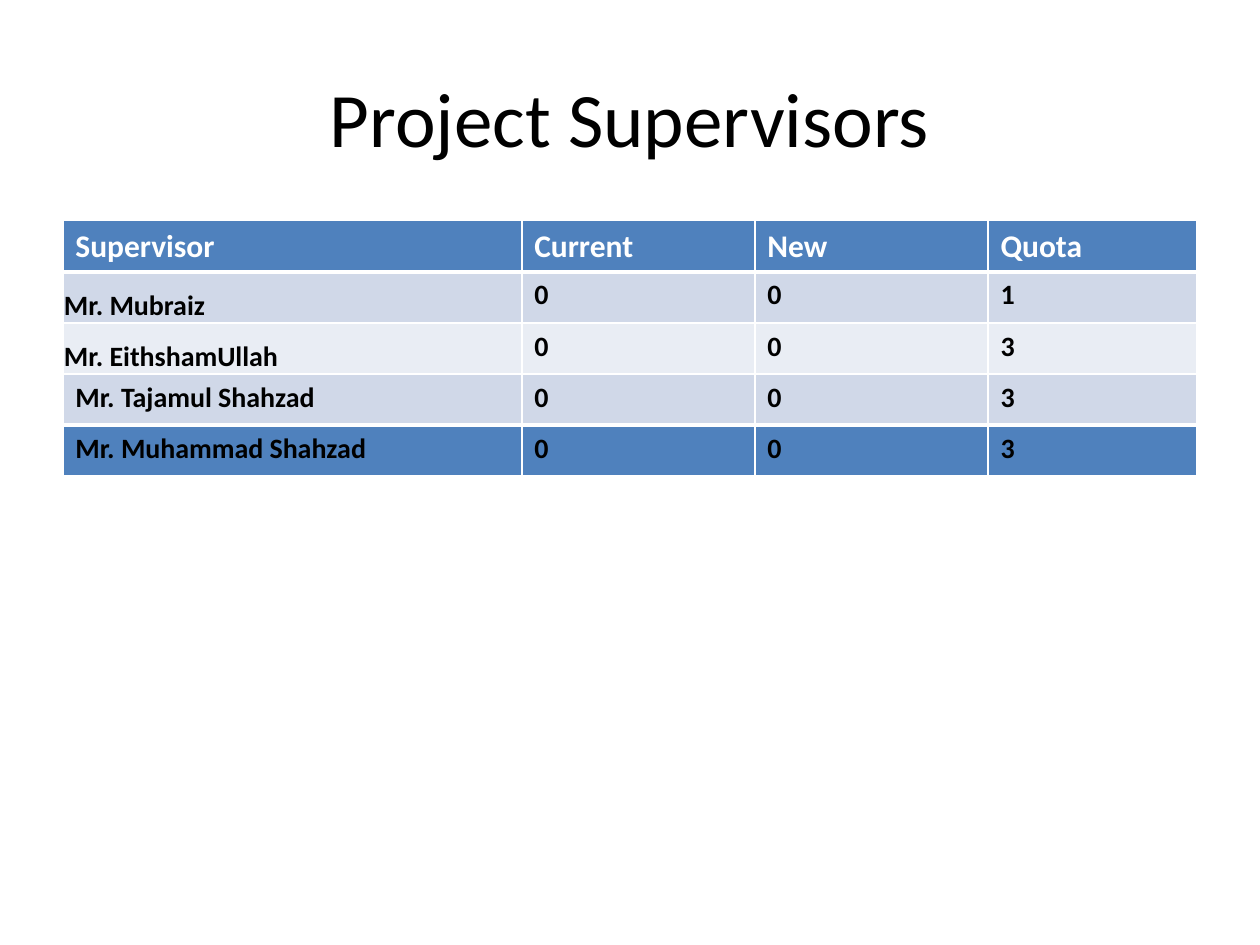
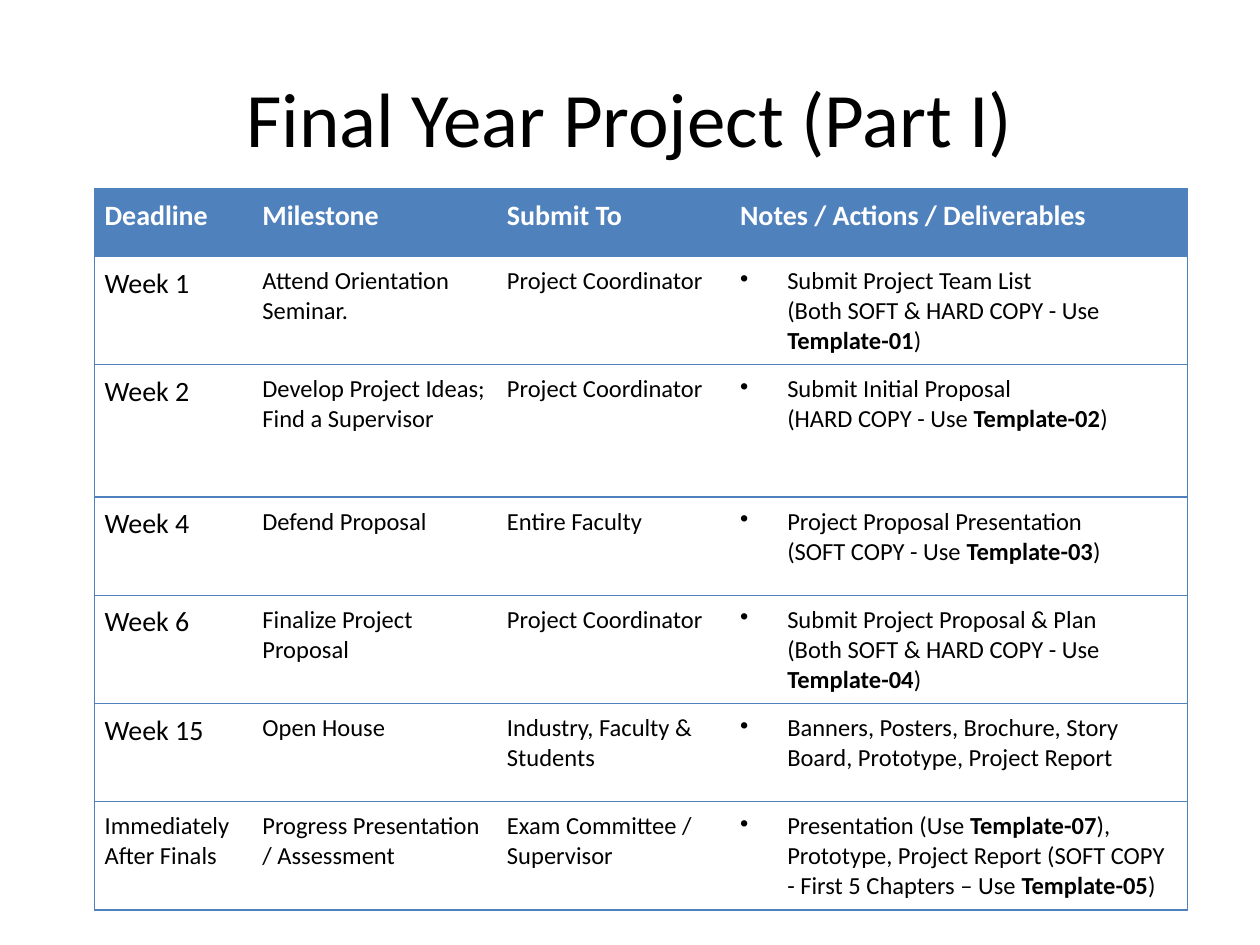
from lxml import etree
from pptx import Presentation, util as u
from pptx.dml import color
from pptx.enum import text
from pptx.oxml import ns

HUES = {"ink": "000000", "white": "FFFFFF", "blue": "4F81BD",
        "band": "D0D8E8", "pale": "E9EDF4"}


class Deck:
    """Hold the shared style and the current slide."""

    font = "Calibri"

    def __init__(self):
        self.prs = Presentation()
        self.prs.slide_width, self.prs.slide_height = u.Cm(25.4), u.Cm(19.05)

    def page(self, title):
        self.slide = self.prs.slides.add_slide(self.prs.slide_layouts[6])
        box = self.slide.shapes.add_textbox(u.Cm(1.27), u.Cm(0.76), u.Cm(22.86), u.Cm(3.18))
        frame = box.text_frame
        frame.word_wrap = True
        frame.vertical_anchor = text.MSO_ANCHOR.MIDDLE
        self.words(frame, title, 44)
        frame.paragraphs[0].alignment = text.PP_ALIGN.CENTER

    def words(self, frame, copy, size, hue="ink", bold=False, bullet=False):
        """Split paragraphs at newlines, line breaks at bars, bold spans at stars."""
        for i, part in enumerate(copy.split("\n")):
            para = frame.add_paragraph() if i else frame.paragraphs[0]
            if bullet:
                props = para._p.get_or_add_pPr()
                props.set("marL", str(u.Cm(0.95)))
                props.set("indent", str(-u.Cm(0.95)))
                etree.SubElement(props, ns.qn("a:buChar"), char="•")
            for j, line in enumerate(part.split("|")):
                if j:
                    para.add_line_break()
                for k, span in enumerate(line.split("*")):
                    if span:
                        self.run(para, span, size, hue, bold or k % 2 == 1)

    def run(self, para, copy, size, hue, bold):
        run = para.add_run()
        run.text = copy
        font = run.font
        font.name, font.size, font.bold = self.font, u.Pt(size), bold
        font.color.rgb = color.RGBColor.from_string(HUES[hue])

    def table(self, left, top, cols, rows):
        shape = self.slide.shapes.add_table(
            len(rows), len(cols), u.Cm(left), u.Cm(top), u.Cm(sum(cols)), u.Cm(sum(rows)))
        grid = shape.table
        grid.first_row = grid.horz_banding = False
        for col, width in zip(grid.columns, cols):
            col.width = u.Cm(width)
        for row, height in zip(grid.rows, rows):
            row.height = u.Cm(height)
        return grid

    def cell(self, cell, fill, pads, edges, hue):
        """Set fill, margins and edges, given as left, right, top, bottom."""
        cell.margin_left, cell.margin_right, cell.margin_top, cell.margin_bottom = map(u.Cm, pads)
        cell.fill.solid()
        cell.fill.fore_color.rgb = color.RGBColor.from_string(HUES[fill])
        props = cell._tc.get_or_add_tcPr()
        for i, (side, width) in enumerate(zip("LRTB", edges)):
            line = etree.Element(ns.qn(f"a:ln{side}"), w=str(u.Pt(width)))
            if width:
                paint = etree.SubElement(line, ns.qn("a:solidFill"))
                etree.SubElement(paint, ns.qn("a:srgbClr"), val=HUES[hue])
            else:
                etree.SubElement(line, ns.qn("a:noFill"))
            props.insert(i, line)


def staff(deck):
    """Build the supervisor slide."""
    deck.page("Project Supervisors")
    data = [("Supervisor", "Current", "New", "Quota"),
            ("Mr. Mubraiz", "0", "0", "1"),
            ("Mr. EithshamUllah", "0", "0", "3"),
            ("Mr. Tajamul Shahzad", "0", "0", "3"),
            ("Mr. Muhammad Shahzad", "0", "0", "3")]
    fills = ["blue", "band", "pale", "band", "blue"]
    rules = [1, 3, 1, 1, 3, 1]
    grid = deck.table(1.27, 4.45, [9.25, 4.7, 4.7, 4.2], [1.03] * len(data))
    for r, row in enumerate(data):
        for c, copy in enumerate(row):
            cell = grid.cell(r, c)
            low = c == 0 and r in (1, 2)
            pads = (0.02, 0.02, 0.02, 0) if low else (0.25, 0.25, 0.13, 0.13)
            deck.cell(cell, fills[r], pads, (1, 1, rules[r], rules[r + 1]), "white")
            if low:
                cell.vertical_anchor = text.MSO_ANCHOR.BOTTOM
            deck.words(cell.text_frame, copy, 16 if r else 18, "ink" if r else "white", True)


def plan(deck):
    """Build the milestone slide."""
    deck.page("Final Year Project (Part I)")
    lead = "Project Coordinator"
    data = [("Deadline", "Milestone", "Submit To", "Notes / Actions / Deliverables"),
            ("Week 1", "Attend Orientation Seminar.", lead,
             "Submit Project Team List|(Both SOFT & HARD COPY - Use *Template-01*)"),
            ("Week 2", "Develop Project Ideas; Find a Supervisor", lead,
             "Submit Initial Proposal|(HARD COPY - Use *Template-02*)"),
            ("Week 4", "Defend Proposal", "Entire Faculty",
             "Project Proposal Presentation|(SOFT COPY - Use *Template-03*)"),
            ("Week 6", "Finalize Project Proposal", lead,
             "Submit Project Proposal & Plan|(Both SOFT & HARD COPY - Use *Template-04*)"),
            ("Week 15", "Open House", "Industry, Faculty & Students",
             "Banners, Posters, Brochure, Story Board, Prototype, Project Report"),
            ("Immediately After Finals", "Progress Presentation\n/ Assessment",
             "Exam Committee /\nSupervisor",
             "Presentation (Use *Template-07*), Prototype, Project Report "
             "(SOFT COPY - First 5 Chapters – Use *Template-05*)")]
    grid = deck.table(1.91, 3.8, [3.18, 4.93, 4.7, 9.22], [1.37, 1.98, 2.67] + [1.98] * 4)
    last = len(data[0]) - 1
    for r, row in enumerate(data):
        for c, copy in enumerate(row):
            cell = grid.cell(r, c)
            edges = (int(c == 0), int(c == last), 1, 1)
            deck.cell(cell, "white" if r else "blue", [0.2] * 4, edges, "blue")
            big = r == 0 or copy.startswith("Week")
            deck.words(cell.text_frame, copy, 16 if big else 14,
                       "ink" if r else "white", r == 0, r > 0 and c == last)


def main():
    """Build both slides and save them."""
    deck = Deck()
    staff(deck)
    plan(deck)
    deck.prs.save("out.pptx")


if __name__ == "__main__":
    main()
